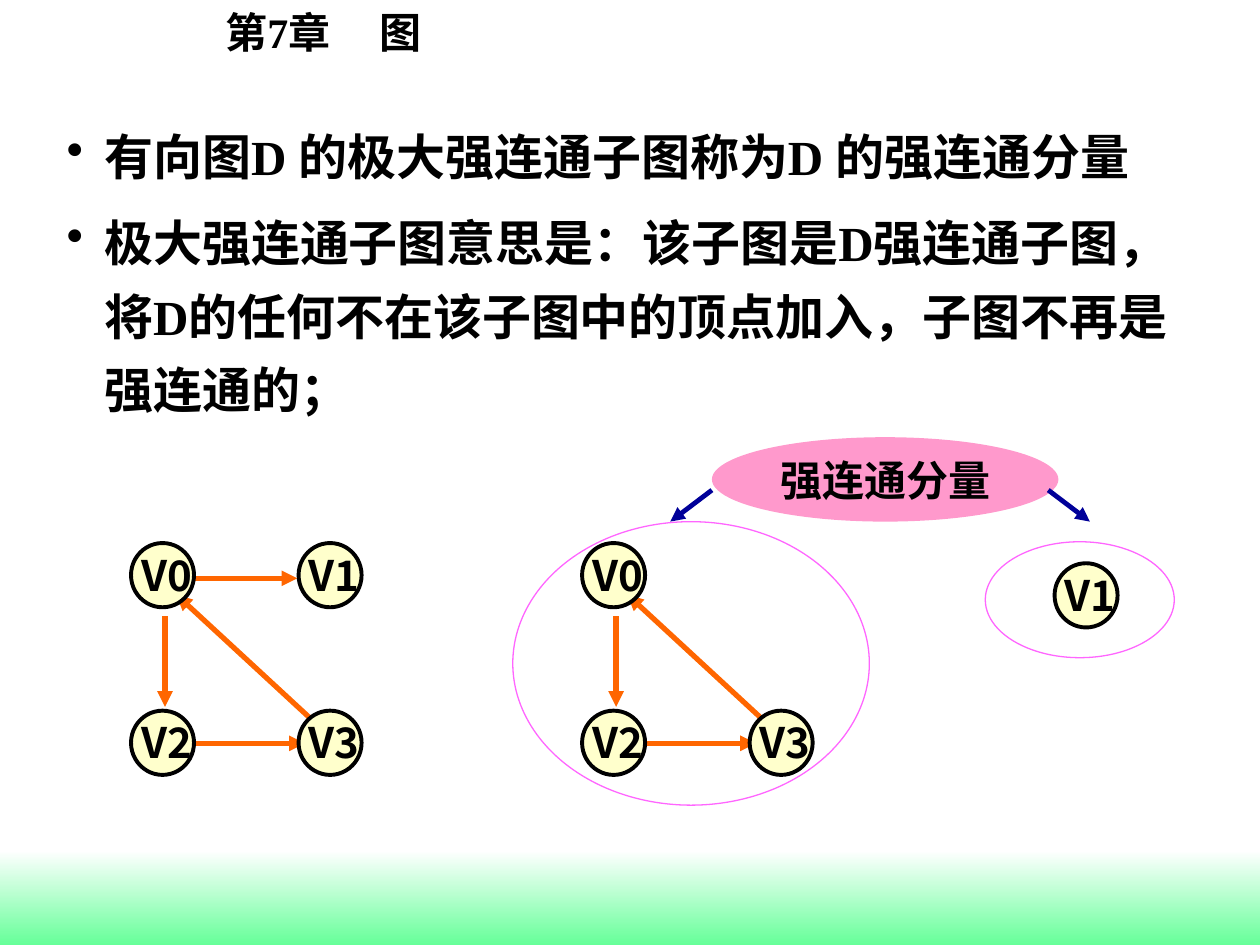
from pptx import Presentation
from pptx import util as u
from pptx.dml.color import RGBColor
from pptx.enum import shapes, text
from pptx.oxml.ns import qn
from pptx.oxml.xmlchemy import OxmlElement

COLORS = {
    "ink": "000000", "paper": "FFFFFF", "grass": "66FF99", "callout": "FF99CC",
    "pointer": "000099", "edge": "FF6600", "vertex": "FFFFCC", "component": "FF66FF",
}
LATIN, CJK = "Times New Roman", "Noto Sans CJK SC"


def rgb(name):
    return RGBColor.from_string(COLORS[name])


def add_xml(parent, tag, **attributes):
    element = OxmlElement(tag)
    for key, value in attributes.items():
        element.set(key, str(value))
    parent.append(element)
    return element


class GraphSlide:
    """Holds the slide and draws each kind of element in its style."""

    def __init__(self, slide):
        self.slide = slide

    def shape(self, kind, box, fill=None, line=None, width=1):
        part = self.slide.shapes.add_shape(kind, *map(u.Inches, box))
        part.shadow.inherit = False
        if fill:
            part.fill.solid()
            part.fill.fore_color.rgb = rgb(fill)
        else:
            part.fill.background()
        if line:
            part.line.color.rgb = rgb(line)
            part.line.width = u.Pt(width)
        else:
            part.line.fill.background()
        return part

    def ellipse(self, box, **style):
        return self.shape(shapes.MSO_SHAPE.OVAL, box, **style)

    def footer_band(self, box):
        band = self.shape(shapes.MSO_SHAPE.RECTANGLE, box)
        band.fill.gradient()
        band.fill.gradient_angle = 270
        for stop, color, position in zip(band.fill.gradient_stops, ("paper", "grass"), (0, 1)):
            stop.color.rgb = rgb(color)
            stop.position = position

    def run(self, paragraph, words, size, font=LATIN):
        run = paragraph.add_run()
        run.text = words
        run.font.size = u.Pt(size)
        run.font.bold = True
        run.font.color.rgb = rgb("ink")
        run.font.name = font
        add_xml(run.font._element, "a:ea", typeface=CJK)

    def text_box(self, box, wrap=True):
        frame = self.slide.shapes.add_textbox(*map(u.Inches, box)).text_frame
        frame.word_wrap = wrap
        return frame

    def title(self, box, words, gap):
        paragraph = self.text_box(box, wrap=False).paragraphs[0]
        tabs = add_xml(paragraph._p.get_or_add_pPr(), "a:tabLst")
        add_xml(tabs, "a:tab", pos=u.Inches(gap), algn="l")
        self.run(paragraph, words, 24)

    def bullets(self, box, items):
        frame = self.text_box(box)
        for index, words in enumerate(items):
            paragraph = frame.add_paragraph() if index else frame.paragraphs[0]
            props = paragraph._p.get_or_add_pPr()
            props.set("marL", str(u.Inches(0.3)))
            props.set("indent", str(u.Inches(-0.3)))
            add_xml(add_xml(props, "a:buClr"), "a:srgbClr", val=COLORS["ink"])
            add_xml(props, "a:buChar", char="•")
            paragraph.line_spacing = 1.25
            if index:
                paragraph.space_before = u.Pt(7)
            self.run(paragraph, words, 28)

    def callout(self, box, words):
        frame = self.ellipse(box, fill="callout").text_frame
        frame.word_wrap = False
        frame.vertical_anchor = text.MSO_ANCHOR.MIDDLE
        frame.paragraphs[0].alignment = text.PP_ALIGN.CENTER
        self.run(frame.paragraphs[0], words, 24)

    def arrow(self, start, end, color, width):
        line = self.slide.shapes.add_connector(
            shapes.MSO_CONNECTOR.STRAIGHT, *map(u.Inches, start + end))
        line.line.color.rgb = rgb(color)
        line.line.width = u.Pt(width)
        add_xml(line.line._get_or_add_ln(), "a:tailEnd", type="triangle")
        add_xml(line._element.find(qn("p:spPr")), "a:effectLst")

    def vertex(self, name, left, top):
        self.ellipse((left, top, 0.5, 0.51), fill="vertex", line="ink", width=2.25)
        label = self.text_box((left - 0.05, top, 0.71, 0.5))
        label.margin_left = u.Inches(0.13)
        self.run(label.paragraphs[0], name, 24, CJK)

    def graph(self, left, top, vertices, edges):
        for edge in edges:
            x1, y1, x2, y2 = EDGES[edge]
            self.arrow((left + x1, top + y1), (left + x2, top + y2), "edge", 3)
        for name in vertices:
            row, column = divmod(int(name[1]), 2)
            self.vertex(name, left + column * STEP, top + row * STEP)


# Graph geometry, measured from the corner of V0
STEP = 1.33
EDGES = {
    "V0-V2": (0.27, 0.58, 0.27, 1.3),
    "V2-V3": (0.5, 1.59, 1.38, 1.59),
    "V0-V1": (0.5, 0.28, 1.32, 0.28),
    "V3-V0": (1.53, 1.49, 0.36, 0.41),
}
CYCLE = ["V0-V2", "V2-V3", "V3-V0"]


def main():
    deck = Presentation()
    deck.slide_width, deck.slide_height = u.Inches(10), u.Inches(7.5)
    page = GraphSlide(deck.slides.add_slide(deck.slide_layouts[6]))

    # Page frame
    page.footer_band((0, 6.75, 10, 0.75))
    page.title((1.69, 0, 1.83, 0.5), "第7章\t图", gap=1.22)

    # Callout pointing at both components
    page.callout((5.65, 3.47, 2.75, 0.67), "强连通分量")
    page.arrow((5.65, 3.89), (5.32, 4.14), "pointer", 2.75)
    page.arrow((8.32, 3.89), (8.65, 4.14), "pointer", 2.75)

    # Directed graph and its strongly connected components
    page.graph(1.04, 4.31, ["V0", "V1", "V2", "V3"], CYCLE + ["V0-V1"])
    page.graph(4.62, 4.31, ["V0", "V2", "V3"], CYCLE)
    page.vertex("V1", 8.37, 4.47)
    for component in ((4.07, 4.14, 2.83, 2.25), (7.82, 4.3, 1.5, 0.92)):
        page.ellipse(component, line="component", width=0.75)

    # Definitions
    page.bullets((0.43, 0.84, 9.06, 2.52), [
        "有向图D 的极大强连通子图称为D 的强连通分量",
        "极大强连通子图意思是：该子图是D强连通子图，将D的任何不在该子图中的顶点加入，子图不再是强连通的；",
    ])
    deck.save("out.pptx")


if __name__ == "__main__":
    main()
